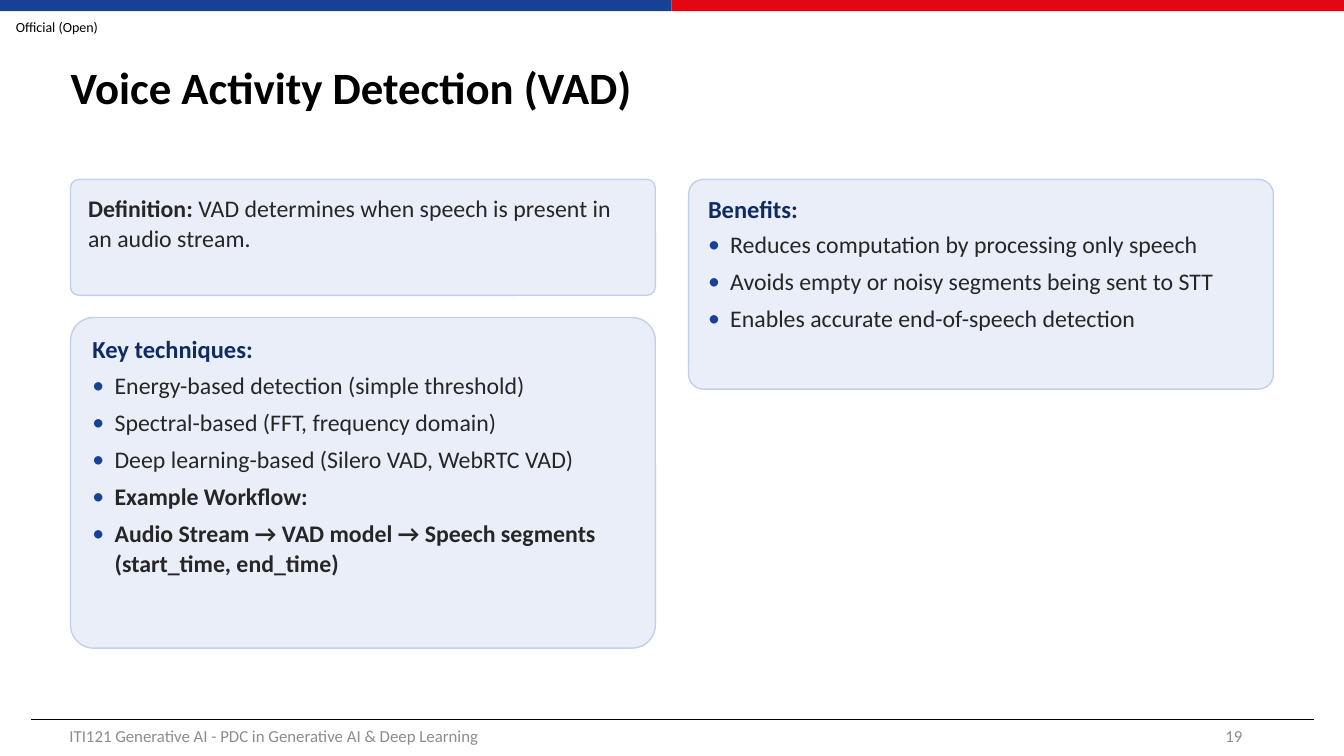
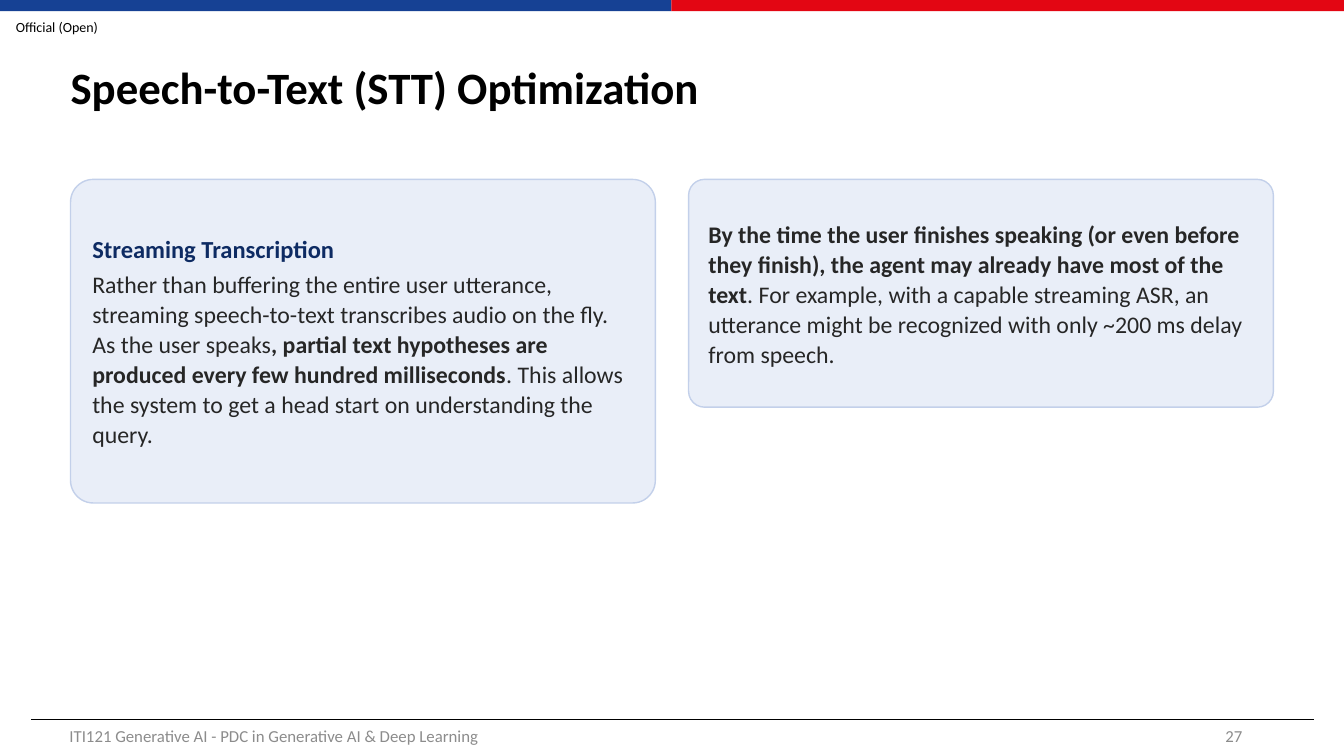
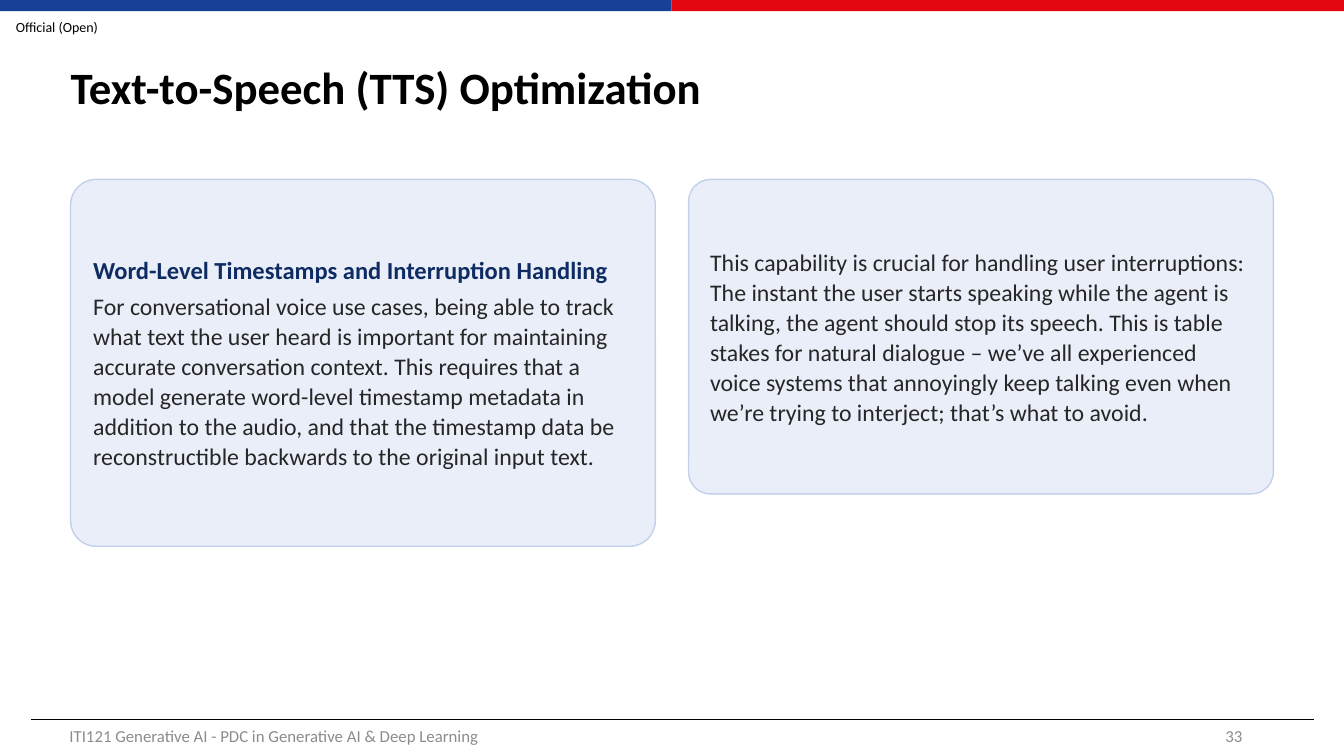
from dataclasses import dataclass

from lxml import etree
from pptx import Presentation
from pptx.dml.color import RGBColor
from pptx.enum.shapes import MSO_CONNECTOR, MSO_SHAPE
from pptx.enum.text import MSO_ANCHOR, PP_ALIGN
from pptx.oxml.ns import qn
from pptx.slide import Slide
from pptx.text.text import TextFrame
from pptx.util import Emu, Pt

RECT, ROUND = MSO_SHAPE.RECTANGLE, MSO_SHAPE.ROUNDED_RECTANGLE
LINE = MSO_CONNECTOR.STRAIGHT
TOP, MID = MSO_ANCHOR.TOP, MSO_ANCHOR.MIDDLE
LEFT, CENTER, RIGHT = PP_ALIGN.LEFT, PP_ALIGN.CENTER, PP_ALIGN.RIGHT

SCALE = 9144
FONT = "Calibri"
BLACK, INK, GRAY = "000000", "262626", "8C8C8C"
BLUE, RED, NAVY = "164194", "E30613", "0E2B63"
PALE, EDGE = "E9EEF8", "C3D0EA"
WIDE, HIGH = 1333, 750
COLS = (70, 683)
FIRST, GAP, SPAN = 178, 22, 580
HANG = 22
FOOTER = "ITI121 Generative AI - PDC in Generative AI & Deep Learning"


@dataclass
class Card:
    col: int
    high: int
    head: str = ""
    body: str = ""
    items: tuple[str, ...] = ()
    anchor: MSO_ANCHOR = MID


@dataclass
class Page:
    title: str
    num: int
    cards: tuple[Card, ...]


PAGES = (
    Page("Voice Activity Detection (VAD)", 19, (
        Card(0, 115, anchor=TOP,
             body="*Definition: *VAD determines when speech is present in an audio stream."),
        Card(0, 328, "Key techniques:", anchor=TOP, items=(
            "Energy-based detection (simple threshold)",
            "Spectral-based (FFT, frequency domain)",
            "Deep learning-based (Silero VAD, WebRTC VAD)",
            "*Example Workflow:*",
            "*Audio Stream → VAD model → Speech segments (start_time, end_time)*")),
        Card(1, 208, "Benefits:", anchor=TOP, items=(
            "Reduces computation by processing only speech",
            "Avoids empty or noisy segments being sent to STT",
            "Enables accurate end-of-speech detection")),
    )),
    Page("Speech-to-Text (STT) Optimization", 27, (
        Card(0, 321, "Streaming Transcription",
             "Rather than buffering the entire user utterance, streaming "
             "speech-to-text transcribes audio on the fly. As the user speaks*, "
             "partial text hypotheses are produced every few hundred "
             "milliseconds*. This allows the system to get a head start on "
             "understanding the query."),
        Card(1, 226,
             body="*By the time the user finishes speaking (or even before they "
             "finish), the agent may already have most of the text*. For example, "
             "with a capable streaming ASR, an utterance might be recognized with "
             "only ~200 ms delay from speech."),
    )),
    Page("Text-to-Speech (TTS) Optimization", 33, (
        Card(0, 364, "Word-Level Timestamps and Interruption Handling",
             "For conversational voice use cases, being able to track what text "
             "the user heard is important for maintaining accurate conversation "
             "context. This requires that a model generate word-level timestamp "
             "metadata in addition to the audio, and that the timestamp data be "
             "reconstructible backwards to the original input text."),
        Card(1, 312,
             body="This capability is crucial for handling user interruptions: The "
             "instant the user starts speaking while the agent is talking, the "
             "agent should stop its speech. This is table stakes for natural "
             "dialogue – we’ve all experienced voice systems that annoyingly keep "
             "talking even when we’re trying to interject; that’s what to avoid."),
    )),
)


def px(num: int) -> Emu:
    return Emu(num * SCALE)


def rgb(code: str) -> RGBColor:
    return RGBColor.from_string(code)


def write(frame: TextFrame, text: str, *, size: float = 17, color: str = INK,
          bold: bool = False, align: PP_ALIGN = LEFT, lead: float = 1.0,
          after: int = 0, bullet: bool = False) -> None:
    para = frame.paragraphs[0]
    if para.runs:
        para = frame.add_paragraph()
    if bullet:
        props = para._p.get_or_add_pPr()
        props.set("marL", str(px(HANG)))
        props.set("indent", str(-px(HANG)))
        tint = etree.SubElement(props, qn("a:buClr"))
        etree.SubElement(tint, qn("a:srgbClr")).set("val", BLUE)
        etree.SubElement(props, qn("a:buFont")).set("typeface", FONT)
        etree.SubElement(props, qn("a:buChar")).set("char", "•")
    para.alignment = align
    para.line_spacing = lead
    para.space_before = Pt(0)
    para.space_after = Pt(after)
    for idx, part in enumerate(text.split("*")):
        if part:
            run = para.add_run()
            run.text = part
            font = run.font
            font.name, font.size = FONT, Pt(size)
            font.bold = bold or idx % 2 == 1
            font.color.rgb = rgb(color)


def set_frame(frame: TextFrame, anchor: MSO_ANCHOR, side: int, edge: int) -> None:
    frame.word_wrap = True
    frame.vertical_anchor = anchor
    frame.margin_left = frame.margin_right = px(side)
    frame.margin_top = frame.margin_bottom = px(edge)


def add_label(slide: Slide, text: str, box: tuple[int, int, int, int], *,
              side: int = 10, edge: int = 5, size: int = 12,
              color: str = GRAY, align: PP_ALIGN = LEFT) -> None:
    frame = slide.shapes.add_textbox(*map(px, box)).text_frame
    set_frame(frame, MID, side, edge)
    write(frame, text, size=size, color=color, align=align)


def add_base(slide: Slide, page: Page) -> None:
    half = WIDE // 2
    for left, span, color in ((0, half, BLUE), (half, WIDE - half, RED)):
        band = slide.shapes.add_shape(RECT, px(left), px(0), px(span), px(11))
        band.shadow.inherit = False
        band.fill.solid()
        band.fill.fore_color.rgb = rgb(color)
        band.line.fill.background()
    rule = slide.shapes.add_connector(LINE, px(31), px(714), px(1303), px(714))
    rule.line.color.rgb = rgb(BLACK)
    rule.line.width = Pt(0.5)
    etree.SubElement(rule._element.spPr, qn("a:effectLst"))
    add_label(slide, "Official (Open)", (0, 12, 113, 29), side=0, edge=0,
              size=10, color=BLACK, align=CENTER)
    add_label(slide, FOOTER, (59, 710, 450, 40))
    add_label(slide, str(page.num), (942, 710, 300, 40), align=RIGHT)


def add_title(slide: Slide, text: str) -> None:
    title = slide.shapes.title
    title.left, title.top, title.width, title.height = map(px, (60, 30, 1208, 118))
    set_frame(title.text_frame, MID, 10, 5)
    write(title.text_frame, text, size=32, color=BLACK, bold=True, lead=0.9)


def add_card(slide: Slide, card: Card, top: int) -> None:
    shape = slide.shapes.add_shape(ROUND, px(COLS[card.col]), px(top),
                                   px(SPAN), px(card.high))
    shape.adjustments[0] = 0.07
    shape.shadow.inherit = False
    shape.fill.solid()
    shape.fill.fore_color.rgb = rgb(PALE)
    shape.line.color.rgb = rgb(EDGE)
    shape.line.width = Pt(1)
    frame = shape.text_frame
    set_frame(frame, card.anchor, 15, 10)
    if card.head:
        write(frame, card.head, size=17.5, color=NAVY, bold=True, after=4)
    if card.body:
        write(frame, card.body, lead=1.05, after=5)
    for item in card.items:
        write(frame, item, lead=1.05, after=5, bullet=True)


def main() -> None:
    deck = Presentation()
    deck.slide_width, deck.slide_height = px(WIDE), px(HIGH)
    for page in PAGES:
        slide = deck.slides.add_slide(deck.slide_layouts[5])
        add_base(slide, page)
        add_title(slide, page.title)
        tops = [FIRST] * len(COLS)
        for card in page.cards:
            add_card(slide, card, tops[card.col])
            tops[card.col] += card.high + GAP
    deck.save("out.pptx")


if __name__ == "__main__":
    main()
